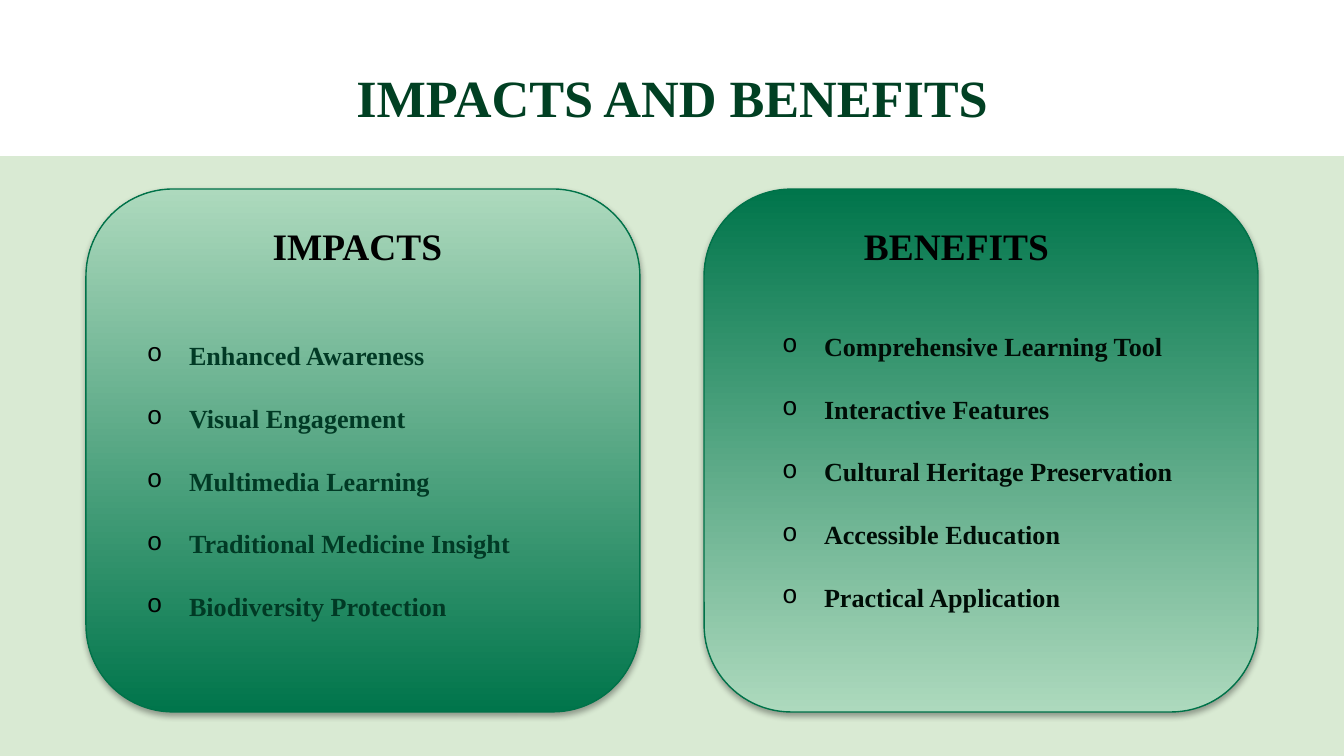
import pptx
import pptx.dml.color
import pptx.enum.shapes
import pptx.enum.text
import pptx.oxml
import pptx.oxml.ns
import pptx.util

EMU_PER_PX = 914400 / 134.4
SLIDE_WIDTH, SLIDE_HEIGHT = 1344, 756
FONT = "Times New Roman"
CARD_TOP, CARD_WIDTH, CARD_HEIGHT = 189, 554, 523
CARD_MARGIN = 86


def px(length):
    return pptx.util.Emu(round(length * EMU_PER_PX))


def color(hex_string):
    return pptx.dml.color.RGBColor.from_string(hex_string)


def drawing_xml(markup):
    tag, rest = markup.split(" ", 1)
    return pptx.oxml.parse_xml(f"{tag} {pptx.oxml.ns.nsdecls('a')} {rest}")


def place(part, left, top, width, height):
    part.left, part.top = px(left), px(top)
    part.width, part.height = px(width), px(height)


def bring_to_front(part):
    part.element.getparent().append(part.element)


def write_text(frame, text, size, ink, align="LEFT", anchor="TOP", inset=7,
               spacing=1.0, bullet=None):
    frame.word_wrap = True
    frame.auto_size = pptx.enum.text.MSO_AUTO_SIZE.NONE
    frame.vertical_anchor = getattr(pptx.enum.text.MSO_ANCHOR, anchor)
    frame.margin_left = frame.margin_right = px(13)
    frame.margin_top = frame.margin_bottom = px(inset)
    frame.text = text
    for line in frame.paragraphs:
        line.alignment = getattr(pptx.enum.text.PP_ALIGN, align)
        line.line_spacing = spacing
        line.space_before = line.space_after = pptx.util.Pt(0)
        font = line.runs[0].font
        font.name, font.size, font.bold = FONT, pptx.util.Pt(size), True
        font.color.rgb = color(ink)
        if bullet:
            add_bullet(line, bullet)


def add_bullet(line, bullet):
    properties = line._p.get_or_add_pPr()
    properties.set("marL", str(px(42)))
    properties.set("indent", str(-px(42)))
    properties.append(drawing_xml('<a:buClr ><a:srgbClr val="000000"/></a:buClr>'))
    properties.append(drawing_xml('<a:buFont typeface="Courier New"/>'))
    properties.append(drawing_xml(f'<a:buChar char="{bullet}"/>'))


def add_header(slide, left, top, width, height):
    band = slide.shapes.add_shape(
        pptx.enum.shapes.MSO_SHAPE.RECTANGLE, px(left), px(top), px(width), px(height))
    band.shadow.inherit = False
    band.fill.solid()
    band.fill.fore_color.rgb = color("FFFFFF")
    band.line.fill.background()
    title = slide.shapes.title
    place(title, left + 105, top + 54, width - 210, 85)
    write_text(title.text_frame, "IMPACTS AND BENEFITS", 28, "014023",
               align="CENTER", anchor="MIDDLE", inset=13)
    bring_to_front(title)


def add_panel(slide, left, top, width, height, rotation):
    panel = slide.shapes.add_shape(
        pptx.enum.shapes.MSO_SHAPE.ROUNDED_RECTANGLE,
        px(left), px(top), px(width), px(height))
    panel.rotation = rotation
    panel.fill.gradient()
    panel.fill.gradient_angle = 90
    for stop, position, shade in zip(panel.fill.gradient_stops, (0, 1), ("00754B", "ADD9BD")):
        stop.position = position
        stop.color.rgb = color(shade)
    panel.line.color.rgb = color("007249")
    panel.line.width = pptx.util.Pt(0.75)
    panel.shadow.inherit = False
    effects = panel.element.spPr.find(pptx.oxml.ns.qn("a:effectLst"))
    effects.append(drawing_xml(
        '<a:outerShdw blurRad="40000" dist="23000" dir="5400000" rotWithShape="0">'
        '<a:srgbClr val="000000"><a:alpha val="35000"/></a:srgbClr></a:outerShdw>'))


def add_card(slide, left, top, width, height, heading, items, points, ink,
             rotation, heading_left, points_left, points_top):
    add_panel(slide, left, top, width, height, rotation)
    caption = slide.shapes.add_textbox(
        px(left + heading_left), px(top + 27), px(505), px(59))
    write_text(caption.text_frame, heading, 20, "000000", align="CENTER")
    place(points, left + points_left, top + points_top, 460, 321)
    write_text(points.text_frame, "\n".join(items), 14, ink, spacing=2.0, bullet="o")
    bring_to_front(points)


def main():
    deck = pptx.Presentation()
    deck.slide_width, deck.slide_height = px(SLIDE_WIDTH), px(SLIDE_HEIGHT)
    slide = deck.slides.add_slide(deck.slide_layouts.get_by_name("Two Content"))
    slide.background.fill.solid()
    slide.background.fill.fore_color.rgb = color("D9EAD3")
    impact_points, benefit_points = list(slide.placeholders)[1:]

    add_header(slide, 0, 0, SLIDE_WIDTH, 156)
    add_card(slide, CARD_MARGIN, CARD_TOP, CARD_WIDTH, CARD_HEIGHT, "IMPACTS",
             ["Enhanced Awareness", "Visual Engagement", "Multimedia Learning",
              "Traditional Medicine Insight", "Biodiversity Protection"],
             impact_points, "013A25", rotation=0,
             heading_left=19, points_left=48, points_top=112)
    add_card(slide, SLIDE_WIDTH - CARD_MARGIN - CARD_WIDTH, CARD_TOP,
             CARD_WIDTH, CARD_HEIGHT, "BENEFITS",
             ["Comprehensive Learning Tool", "Interactive Features",
              "Cultural Heritage Preservation", "Accessible Education",
              "Practical Application"],
             benefit_points, "000D06", rotation=180,
             heading_left=0, points_left=65, points_top=103)
    deck.save("out.pptx")


if __name__ == "__main__":
    main()
